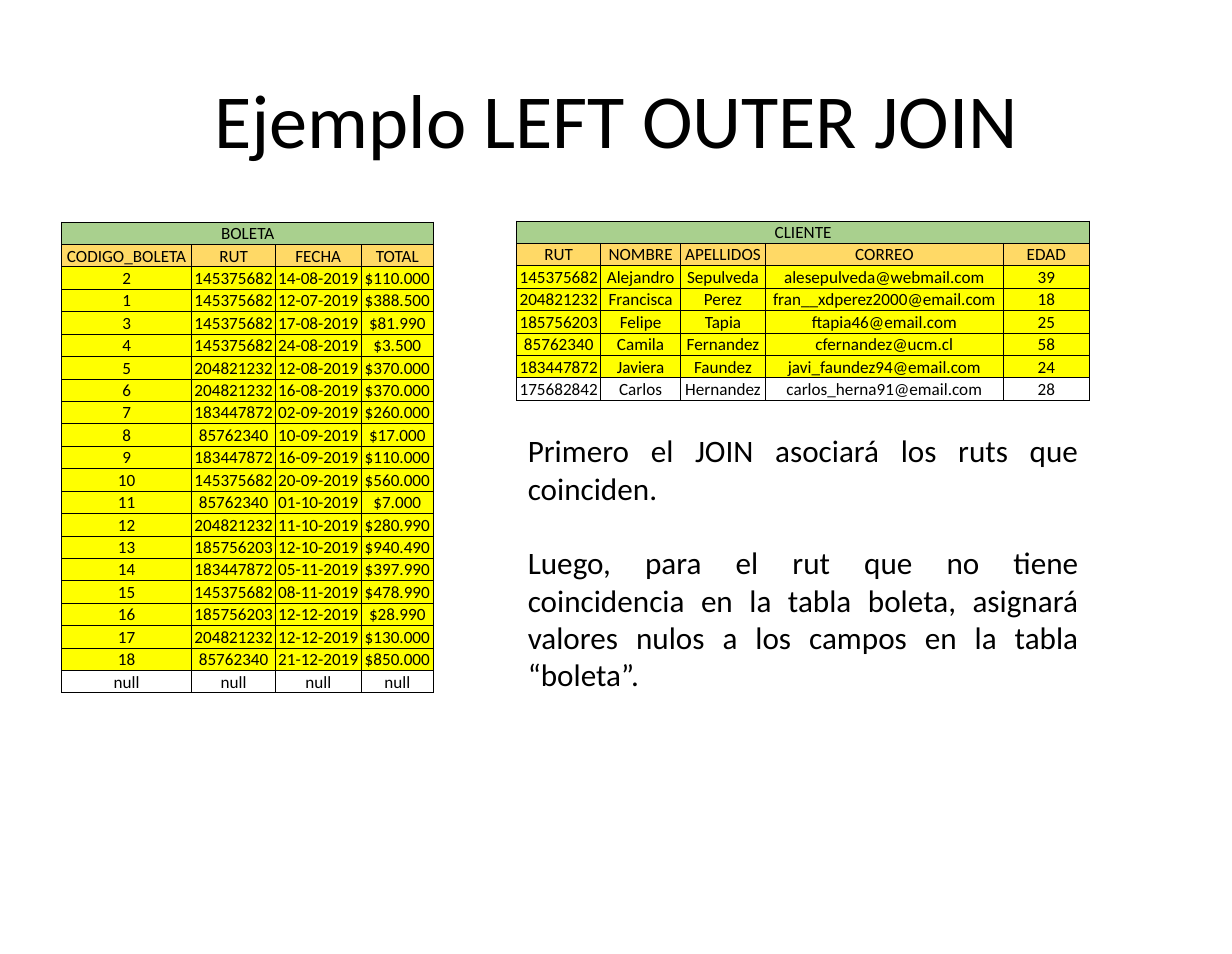
"""Build the LEFT OUTER JOIN example slide with its two tables and explanation."""
from lxml.etree import SubElement
from pptx import Presentation
from pptx.dml.color import RGBColor
from pptx.enum.text import MSO_ANCHOR as ANCHOR, MSO_AUTO_SIZE as AUTO, PP_ALIGN as ALIGN
from pptx.oxml.ns import qn
from pptx.util import Inches, Pt

BLACK = RGBColor(0x00, 0x00, 0x00)
WHITE = RGBColor(0xFF, 0xFF, 0xFF)
GREEN = RGBColor(0xA9, 0xD0, 0x8E)
GOLD = RGBColor(0xFF, 0xD9, 0x66)
YELLOW = RGBColor(0xFF, 0xFF, 0x00)
FONT = "Calibri"
W, H = 10.99, 8.51
MARGIN = W * 0.05
RIGHT_COL = 4.61
RIGHT_W = 5.11
ROW_H = 0.2

BOLETA = """CODIGO_BOLETA RUT FECHA TOTAL
2 145375682 14-08-2019 $110.000
1 145375682 12-07-2019 $388.500
3 145375682 17-08-2019 $81.990
4 145375682 24-08-2019 $3.500
5 204821232 12-08-2019 $370.000
6 204821232 16-08-2019 $370.000
7 183447872 02-09-2019 $260.000
8 85762340 10-09-2019 $17.000
9 183447872 16-09-2019 $110.000
10 145375682 20-09-2019 $560.000
11 85762340 01-10-2019 $7.000
12 204821232 11-10-2019 $280.990
13 185756203 12-10-2019 $940.490
14 183447872 05-11-2019 $397.990
15 145375682 08-11-2019 $478.990
16 185756203 12-12-2019 $28.990
17 204821232 12-12-2019 $130.000
18 85762340 21-12-2019 $850.000
null null null null"""

CLIENTE = """RUT NOMBRE APELLIDOS CORREO EDAD
145375682 Alejandro Sepulveda alesepulveda@webmail.com 39
204821232 Francisca Perez fran__xdperez2000@email.com 18
185756203 Felipe Tapia ftapia46@email.com 25
85762340 Camila Fernandez cfernandez@ucm.cl 58
183447872 Javiera Faundez javi_faundez94@email.com 24
175682842 Carlos Hernandez carlos_herna91@email.com 28"""


def style(p, size, align):
    p.alignment = align
    for r in p.runs:
        r.font.name = FONT
        r.font.size = Pt(size)
        r.font.color.rgb = BLACK


def add_grid(s, name, data, left, top, widths):
    rows = [[name] + [""] * (len(widths) - 1)] + [line.split() for line in data.splitlines()]
    fills = [GREEN, GOLD] + [YELLOW] * (len(rows) - 3) + [WHITE]
    table = s.shapes.add_table(len(rows), len(widths), Inches(left), Inches(top),
                               Inches(sum(widths)), Inches(ROW_H * len(rows))).table
    table.first_row = table.horz_banding = False
    table.cell(0, 0).merge(table.cell(0, len(widths) - 1))
    for col, width in zip(table.columns, widths):
        col.width = Inches(width)
    for row, values, fill in zip(table.rows, rows, fills):
        row.height = Inches(ROW_H)
        for cell, value in zip(row.cells, values):
            if not cell.is_spanned:
                cell.text = value
                style(cell.text_frame.paragraphs[0], 11, ALIGN.CENTER)
            cell.vertical_anchor = ANCHOR.MIDDLE
            cell.margin_left = cell.margin_right = cell.margin_top = Inches(0.01)
            cell.margin_bottom = 0
            tc_pr = cell._tc.get_or_add_tcPr()
            for side in ("a:lnL", "a:lnR", "a:lnT", "a:lnB"):
                ln = SubElement(tc_pr, qn(side), w=str(Pt(0.5)))
                SubElement(SubElement(ln, qn("a:solidFill")), qn("a:srgbClr"), val=str(BLACK))
            cell.fill.solid()
            cell.fill.fore_color.rgb = fill


prs = Presentation()
prs.slide_width, prs.slide_height = Inches(W), Inches(H)
s = prs.slides.add_slide(prs.slide_layouts[5])

title = s.shapes.title
title.left, title.top = Inches(MARGIN), Inches(H * 0.04)
title.width, title.height = Inches(W * 0.9), Inches(H / 6)
tf = title.text_frame
tf.text = "Ejemplo LEFT OUTER JOIN"
tf.vertical_anchor = ANCHOR.MIDDLE
tf.margin_left = tf.margin_right = Inches(0.11)
tf.margin_top = tf.margin_bottom = Inches(0.06)
style(tf.paragraphs[0], 49, ALIGN.CENTER)

add_grid(s, "BOLETA", BOLETA, MARGIN, 1.98, [1.16, 0.75, 0.76, 0.65])
add_grid(s, "CLIENTE", CLIENTE, RIGHT_COL, 1.97, [0.75, 0.71, 0.76, 2.12, 0.77])

box = s.shapes.add_textbox(Inches(RIGHT_COL), Inches(3.8), Inches(RIGHT_W), Inches(2.46))
tf = box.text_frame
tf.word_wrap = True
tf.auto_size = AUTO.SHAPE_TO_FIT_TEXT
tf.text = "Primero el JOIN asociará los ruts que coinciden."
p = tf.add_paragraph()
p.text = ("Luego, para el rut que no tiene coincidencia en la tabla boleta, "
          "asignará valores nulos a los campos en la tabla “boleta”.")
p.space_before = Pt(24)
for p in tf.paragraphs:
    style(p, 20, ALIGN.JUSTIFY)

prs.save("out.pptx")
